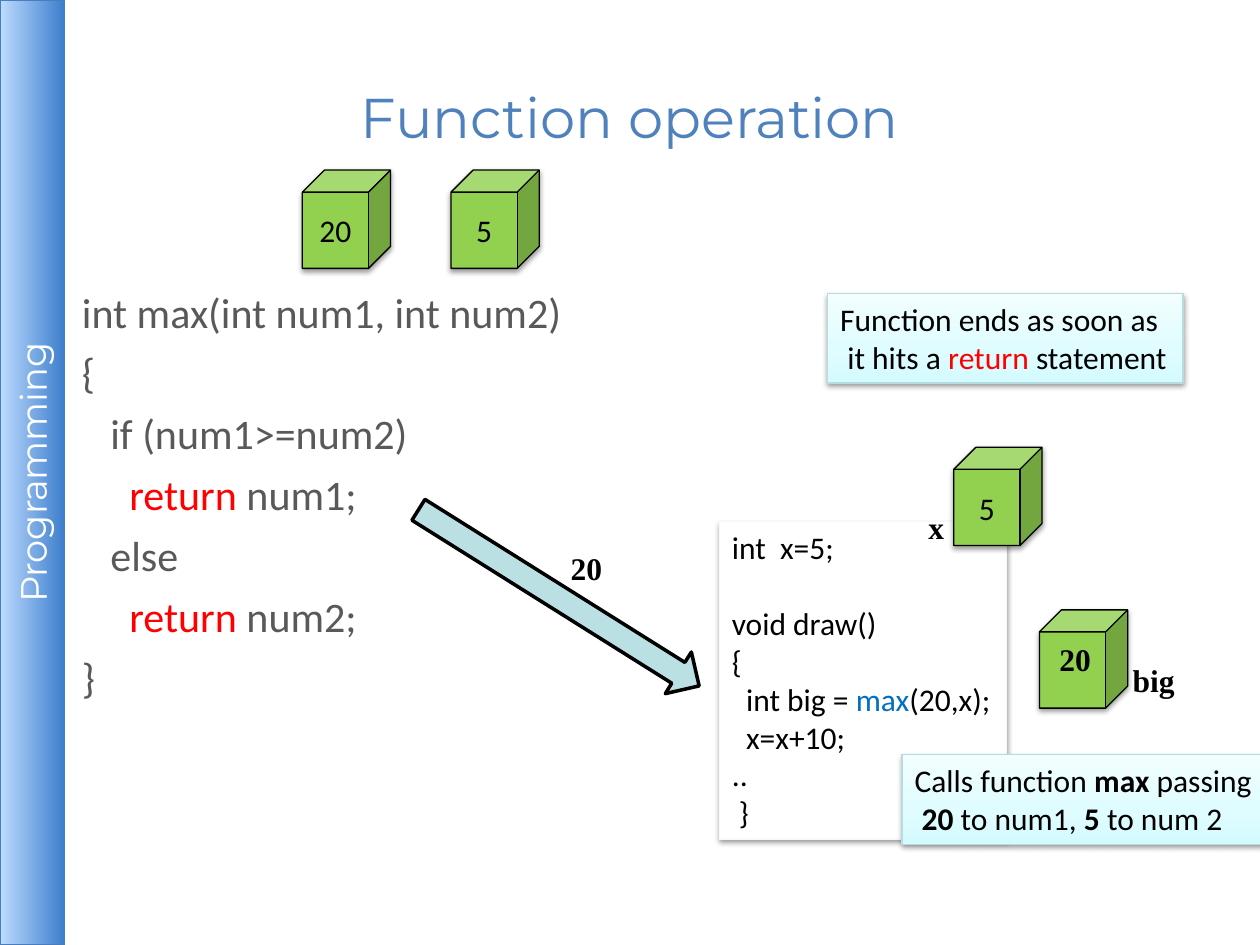
from lxml.etree import SubElement
from pptx import Presentation
from pptx.dml.color import RGBColor
from pptx.enum.shapes import MSO_SHAPE
from pptx.enum.text import MSO_ANCHOR, MSO_AUTO_SIZE, PP_ALIGN
from pptx.oxml.ns import qn
from pptx.util import Inches, Pt

BLACK, GREY, RED = "000000", "595959", "FF0000"
SPACE_WIDTH = 0.226


def rgb(value):
    """Turn a hex string into a colour."""
    return RGBColor.from_string(value)


def add_color(parent, value, alpha=None):
    """Append a colour element with optional opacity in percent."""
    clr = SubElement(parent, qn("a:srgbClr"), val=value)
    if alpha:
        SubElement(clr, qn("a:alpha"), val=str(alpha * 1000))


def paint(s, fill, line, width=0.75, angle=90):
    """Fill a shape with a colour or gradient stops and outline it."""
    if isinstance(fill, str):
        s.fill.solid()
        s.fill.fore_color.rgb = rgb(fill)
    else:
        s.fill.gradient()
        s.fill.gradient_angle = angle
        stops = s._element.spPr.find(qn("a:gradFill")).find(qn("a:gsLst"))
        for gs in list(stops):
            stops.remove(gs)
        for pos, value in fill:
            add_color(SubElement(stops, qn("a:gs"), pos=str(pos * 1000)), value)
    s.line.color.rgb = rgb(line)
    s.line.width = Pt(width)
    s.shadow.inherit = False


def add_shadow(s, alpha=38, blur=3.1, dist=1.6):
    """Give a painted shape a soft shadow straight below it."""
    effects = s._element.spPr.find(qn("a:effectLst"))
    shadow = SubElement(effects, qn("a:outerShdw"), blurRad=str(Pt(blur)),
                        dist=str(Pt(dist)), dir="5400000", rotWithShape="0")
    add_color(shadow, BLACK, alpha)


def write(s, lines, size=18, font="Calibri", color=BLACK, align=PP_ALIGN.LEFT,
          anchor=MSO_ANCHOR.TOP, inset=None, wrap=True, grow=False):
    """Write lines of (indent, before, runs), each run (text, color, bold)."""
    tf = s.text_frame
    tf.word_wrap = wrap
    tf.vertical_anchor = anchor
    tf.auto_size = MSO_AUTO_SIZE.SHAPE_TO_FIT_TEXT if grow else MSO_AUTO_SIZE.NONE
    if inset is not None:
        tf.margin_left = tf.margin_right = Inches(inset)
        tf.margin_top = tf.margin_bottom = Inches(inset)
    for i, (indent, before, runs) in enumerate(lines):
        p = tf.paragraphs[0] if i == 0 else tf.add_paragraph()
        p.alignment = align
        p.space_before = Pt(before)
        if indent:
            p._p.get_or_add_pPr().set("marL", str(Pt(indent * SPACE_WIDTH * size)))
        for text, run_color, bold in runs:
            r = p.add_run()
            r.text = text
            r.font.name, r.font.size, r.font.bold = font, Pt(size), bold
            r.font.color.rgb = rgb(run_color or color)


def plain(text):
    """Make a single unstyled line."""
    return [(0, 0, [(text, None, False)])]


def add_box(slide, kind, x, y, w, h):
    """Add a preset shape, or a text box when kind is None."""
    box = Inches(x), Inches(y), Inches(w), Inches(h)
    if kind is None:
        return slide.shapes.add_textbox(*box)
    return slide.shapes.add_shape(kind, *box)


def sidebar(slide, width, height):
    """Draw the turned course banner along the left edge."""
    s = add_box(slide, MSO_SHAPE.RECTANGLE, (width - height) / 2,
                (height - width) / 2, height, width)
    s.rotation = 270
    paint(s, [(0, "BDDBFE"), (100, "3E7FCD")], "4A7DBB", angle=270)
    add_shadow(s, 35, 0, 1.8)
    write(s, plain("Programming"), 21, "Montserrat", "FFFFFF", PP_ALIGN.CENTER,
          MSO_ANCHOR.MIDDLE, 0.04)


def title(slide, x, y, w, h):
    """Write the slide title."""
    write(add_box(slide, None, x, y, w, h), plain("Function operation"), 32,
          "Montserrat", "4F81BD", PP_ALIGN.CENTER, MSO_ANCHOR.MIDDLE, 0.04)


def function_code(slide, x, y, w, h):
    """Write the definition of max."""
    code = [(0, "", "int max(int num1, int num2)"), (0, "", "{"),
            (3, "", "if (num1>=num2)"), (5, "return", " num1;"),
            (3, "", "else"), (5, "return", " num2;"), (0, "", "}")]
    lines = [(indent, 6, [(text, color, False) for text, color in
                          ((keyword, RED), (rest, None)) if text])
             for indent, keyword, rest in code]
    write(add_box(slide, None, x, y, w, h), lines, 24, color=GREY, inset=0.04)


def caller_code(slide, x, y, w, h):
    """Draw the panel with the code that calls max."""
    s = add_box(slide, MSO_SHAPE.RECTANGLE, x, y, w, h)
    paint(s, "FFFFFF", "F9F9F9")
    add_shadow(s)
    call = [("int big = ", None, False), ("max", "0070C0", False),
            ("(20,x);", None, False)]
    code = [(0, 0, "int  x=5;"), (0, 22, "void draw()"), (0, 0, "{"),
            (2, 0, call), (2, 0, "x=x+10;"), (0, 0, ".."), (1, 0, "}")]
    write(s, [(indent, before, [(t, None, False)] if isinstance(t, str) else t)
              for indent, before, t in code], grow=True)


def callout(slide, x, y, w, h, lines):
    """Draw a pale note with a shadow."""
    s = add_box(slide, MSO_SHAPE.RECTANGLE, x, y, w, h)
    paint(s, [(0, "D3FBFF"), (35, "DFFCFF"), (100, "F2FEFF")], "B6DCDF")
    add_shadow(s)
    write(s, [(0, 0, runs) for runs in lines], wrap=False, grow=True)


def cube(slide, x, y, text=""):
    """Draw a cube that holds a value."""
    s = add_box(slide, MSO_SHAPE.CUBE, x, y, 0.7, 0.78)
    paint(s, "92D050", BLACK)
    add_shadow(s)
    if text:
        write(s, plain(text), align=PP_ALIGN.CENTER, anchor=MSO_ANCHOR.MIDDLE)


def label(slide, x, y, w, text):
    """Write a bold serif label."""
    write(add_box(slide, None, x, y, w, 0.4), [(0, 0, [(text, None, True)])],
          font="Times New Roman", wrap=False, grow=True)


def return_arrow(slide, x, y, w, h):
    """Draw the slanted arrow from the return to the call."""
    s = add_box(slide, MSO_SHAPE.RIGHT_ARROW, x, y, w, h)
    s.rotation = 32.1
    paint(s, "BBE0E3", BLACK, 2)


def build():
    """Build the slide and save it."""
    prs = Presentation()
    prs.slide_width, prs.slide_height = Inches(10), Inches(7.5)
    slide = prs.slides.add_slide(prs.slide_layouts[6])
    sidebar(slide, 0.51, 7.5)
    title(slide, 0.5, 0.3, 9, 1.25)
    function_code(slide, 0.61, 2.23, 8.89, 4.75)
    callout(slide, 6.57, 2.33, 2.82, 0.71, [
        [("Function ends as soon as", None, False)],
        [(" it hits a ", None, False), ("return", RED, False),
         (" statement", None, False)]])
    caller_code(slide, 5.71, 4.14, 2.28, 2.52)
    for x, y, text in [(3.58, 1.35, "5"), (2.4, 1.35, "20"),
                       (8.25, 4.84, ""), (7.57, 3.55, "5")]:
        cube(slide, x, y, text)
    return_arrow(slide, 3.12, 4.55, 2.63, 0.39)
    for x, y, w, text in [(4.43, 4.31, 0.45, "20"), (7.27, 3.98, 0.33, "x"),
                          (8.89, 5.2, 0.54, "big"), (8.31, 5.03, 0.45, "20")]:
        label(slide, x, y, w, text)
    callout(slide, 7.16, 5.99, 2.89, 0.71, [
        [("Calls function ", None, False), ("max", None, True),
         (" passing", None, False)],
        [(" ", None, False), ("20", None, True), (" to num1, ", None, False),
         ("5", None, True), (" to num 2", None, False)]])
    prs.save("out.pptx")


build()
